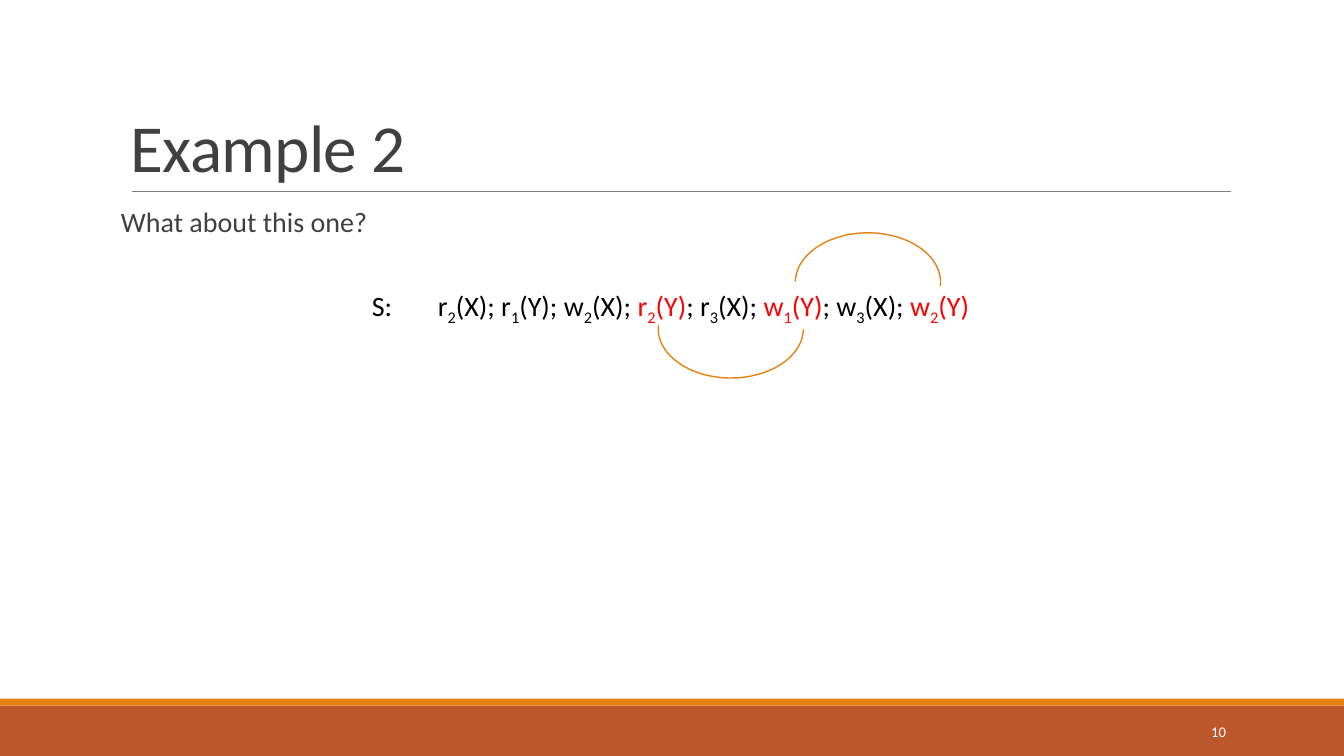
from pptx import Presentation
from pptx.dml.color import RGBColor
from pptx.enum.shapes import MSO_CONNECTOR, MSO_SHAPE
from pptx.enum.text import MSO_ANCHOR, PP_ALIGN
from pptx.oxml.ns import qn
from pptx.util import Pt
from lxml.etree import SubElement

WHITE = RGBColor(0xFF, 0xFF, 0xFF)
BLACK = RGBColor(0x00, 0x00, 0x00)
RED = RGBColor(0xFF, 0x00, 0x00)
CHARCOAL = RGBColor(0x40, 0x40, 0x40)
GREY = RGBColor(0x80, 0x80, 0x80)
ORANGE = RGBColor(0xE4, 0x83, 0x12)
RUST = RGBColor(0xBD, 0x58, 0x2C)

# action, transaction, item, belongs to a conflict
OPERATIONS = [
    ("r", "2", "X", False), ("r", "1", "Y", False),
    ("w", "2", "X", False), ("r", "2", "Y", True),
    ("r", "3", "X", False), ("w", "1", "Y", True),
    ("w", "3", "X", False), ("w", "2", "Y", True),
]


def schedule_runs(operations):
    """Return (text, run format) pairs with subscript transaction numbers."""
    runs = []
    for position, (action, transaction, item, conflict) in enumerate(operations):
        if position:
            runs.append(("; ", {}))
        color = RED if conflict else BLACK
        runs += [(action, {"color": color}),
                 (transaction, {"color": color, "baseline": -25000}),
                 (f"({item})", {"color": color})]
    return runs


class SlideBuilder:
    font = "Calibri"

    def __init__(self, slide):
        self.shapes = slide.shapes

    def band(self, top, height, color):
        band = self.shapes.add_shape(
            MSO_SHAPE.RECTANGLE, 0, Pt(top), Pt(960), Pt(height))
        band.shadow.inherit = False
        band.fill.solid()
        band.fill.fore_color.rgb = color
        band.line.fill.background()

    def rule(self, left, right, y, color, width):
        rule = self.shapes.add_connector(
            MSO_CONNECTOR.STRAIGHT, Pt(left), Pt(y), Pt(right), Pt(y))
        rule.line.color.rgb = color
        rule.line.width = Pt(width)
        SubElement(rule._element.spPr, qn("a:effectLst"))

    def arc(self, left, top, rotation=0):
        arc = self.shapes.add_shape(
            MSO_SHAPE.ARC, Pt(left), Pt(top), Pt(103.7), Pt(70.6))
        arc.shadow.inherit = False
        arc.adjustments[0], arc.adjustments[1] = 0.41, 109.77
        arc.rotation = rotation
        arc.fill.background()
        arc.line.color.rgb = ORANGE
        arc.line.width = Pt(1)

    def text(self, box, runs, size=20, color=BLACK, frame=None, paragraph=None):
        """Add one paragraph; frame and paragraph are dicts of attributes."""
        text_frame = self.shapes.add_textbox(*map(Pt, box)).text_frame
        line = text_frame.paragraphs[0]
        for target, formats in ((text_frame, {"word_wrap": True} | (frame or {})),
                                (line, paragraph or {})):
            for attribute, value in formats.items():
                setattr(target, attribute, value)
        for words, style in runs:
            run = line.add_run()
            run.text = words
            run.font.name = self.font
            run.font.size = Pt(size)
            run.font.color.rgb = style.get("color", color)
            for key in ("baseline", "spc"):
                if key in style:
                    run._r.get_or_add_rPr().set(key, str(style[key]))


def main():
    presentation = Presentation()
    presentation.slide_width, presentation.slide_height = Pt(960), Pt(540)
    builder = SlideBuilder(
        presentation.slides.add_slide(presentation.slide_layouts[6]))

    builder.band(504, 36, RUST)
    builder.band(499, 5, ORANGE)
    builder.rule(94.3, 879.1, 136.8, GREY, 0.5)

    builder.text((86.4, 22.3, 792, 114.5), [("Example 2", {"spc": -50})],
                 size=48, color=CHARCOAL,
                 frame={"vertical_anchor": MSO_ANCHOR.BOTTOM},
                 paragraph={"line_spacing": 0.85})
    builder.text((86.4, 145.4, 792, 316.8), [("What about this one?", {})],
                 color=CHARCOAL,
                 frame={"margin_left": 0, "margin_right": 0},
                 paragraph={"line_spacing": 0.9, "space_after": Pt(2)})
    builder.text((779.8, 508.3, 103, 28.8), [("10", {})],
                 size=10.5, color=WHITE,
                 frame={"vertical_anchor": MSO_ANCHOR.MIDDLE},
                 paragraph={"alignment": PP_ALIGN.RIGHT})

    builder.text((296.6, 202.3, 411.8, 31.5), schedule_runs(OPERATIONS),
                 frame={"word_wrap": False},
                 paragraph={"alignment": PP_ALIGN.CENTER})
    builder.text((258.5, 202.3, 29.5, 31.5), [("S:", {})],
                 frame={"word_wrap": False})
    builder.arc(470.2, 199.4)
    builder.arc(568.1, 166.3, rotation=180)

    presentation.save("out.pptx")


if __name__ == "__main__":
    main()
